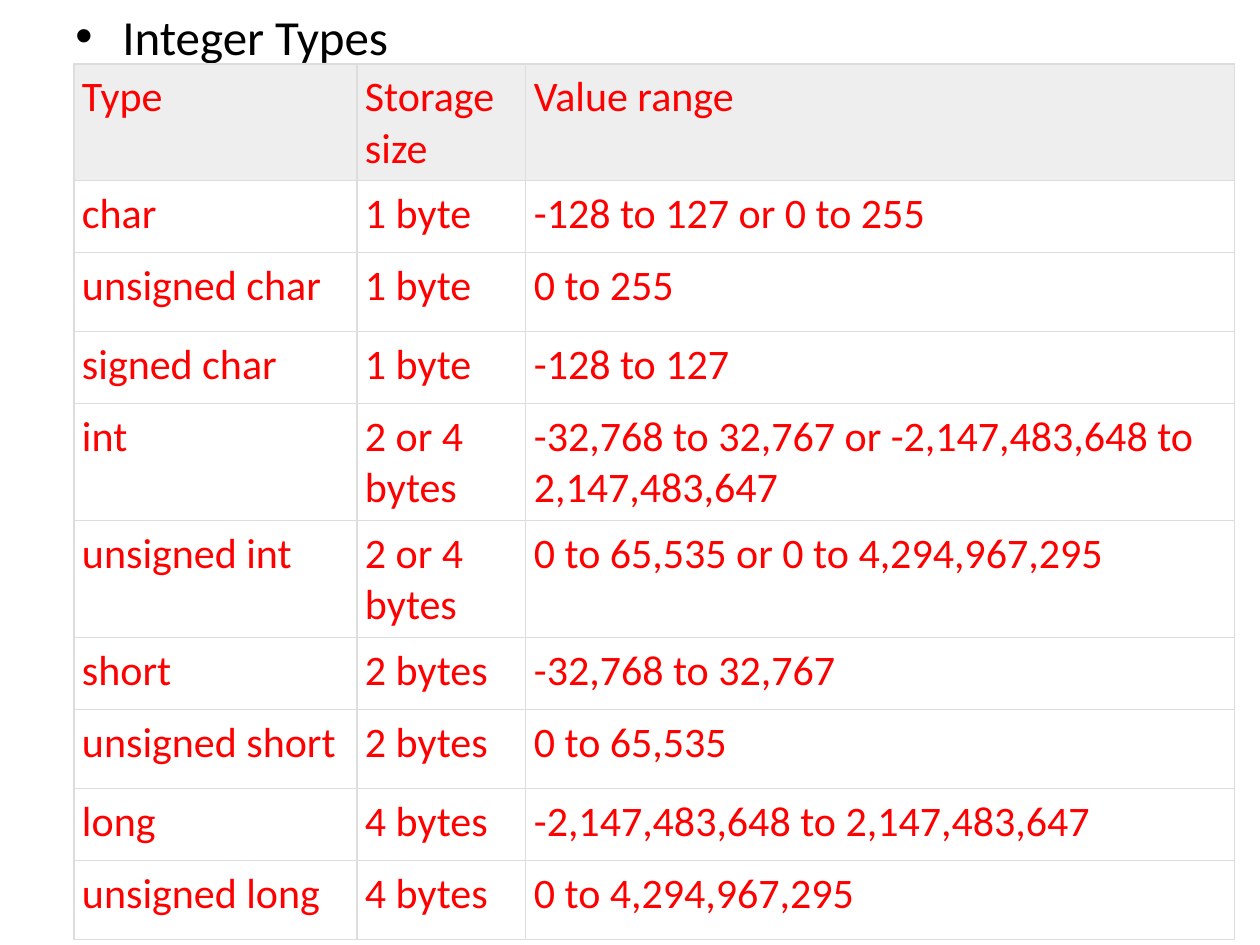
import lxml.etree
import pptx
import pptx.dml.color
import pptx.oxml
import pptx.oxml.ns
import pptx.util

PX = 914400 // 126
COLORS = {"title": "000000", "text": "FF0000", "header": "EEEEEE", "border": "DDDDDD"}
FONT = "Calibri"
COLUMNS = [283, 169, 709]
TALL, SHORT = 79, 72
HEIGHTS = [TALL, SHORT, TALL, SHORT, TALL, TALL, SHORT, TALL, SHORT, TALL]
ROWS = [
    ("Type", "Storage size", "Value range"),
    ("char", "1 byte", "-128 to 127 or 0 to 255"),
    ("unsigned char", "1 byte", "0 to 255"),
    ("signed char", "1 byte", "-128 to 127"),
    ("int", "2 or 4 bytes", "-32,768 to 32,767 or -2,147,483,648 to 2,147,483,647"),
    ("unsigned int", "2 or 4 bytes", "0 to 65,535 or 0 to 4,294,967,295"),
    ("short", "2 bytes", "-32,768 to 32,767"),
    ("unsigned short", "2 bytes", "0 to 65,535"),
    ("long", "4 bytes", "-2,147,483,648 to 2,147,483,647"),
    ("unsigned long", "4 bytes", "0 to 4,294,967,295"),
]


def rgb(name):
    """Return the named colour."""
    return pptx.dml.color.RGBColor.from_string(COLORS[name])


def add_xml(parent, xml):
    """Append a DrawingML element to the parent."""
    ns = pptx.oxml.ns.nsdecls("a")
    tag, rest = xml[1:].split(" ", 1)
    parent.append(pptx.oxml.parse_xml(f"<{tag} {ns} {rest}"))


def format_text(tf, size, color):
    """Set font, size and colour on every run."""
    for p in tf.paragraphs:
        for r in p.runs:
            r.font.name = FONT
            r.font.size = pptx.util.Pt(size)
            r.font.color.rgb = rgb(color)


def add_heading(s, x, y, w, h, text):
    """Place the bulleted heading in its box."""
    sp = s.shapes.add_textbox(x * PX, y * PX, w * PX, h * PX)
    tf = sp.text_frame
    tf.word_wrap = True
    tf.text = text
    format_text(tf, 28, "title")
    pPr = tf.paragraphs[0]._p.get_or_add_pPr()
    indent = 47 * PX
    pPr.set("marL", str(indent))
    pPr.set("indent", str(-indent))
    add_xml(pPr, '<a:spcBef ><a:spcPct val="20000"/></a:spcBef>')
    add_xml(pPr, '<a:buFont typeface="Arial"/>')
    add_xml(pPr, '<a:buChar char="•"/>')


def format_cell(cell, text, header):
    """Fill one cell with text, margins, borders and background."""
    cell.text = text
    format_text(cell.text_frame, 24, "text")
    cell.margin_left = cell.margin_right = 8 * PX
    cell.margin_top = cell.margin_bottom = 8 * PX
    tcPr = cell._tc.get_or_add_tcPr()
    for side in ("lnL", "lnR", "lnT", "lnB"):
        add_xml(tcPr, f'<a:{side} w="9525"><a:solidFill><a:srgbClr val="{COLORS["border"]}"/>'
                      f'</a:solidFill></a:{side}>')
    if header:
        cell.fill.solid()
        cell.fill.fore_color.rgb = rgb("header")
    else:
        cell.fill.background()


def add_type_table(s, x, y, w, h):
    """Place the table of integer types in its box."""
    shape = s.shapes.add_table(len(ROWS), len(COLUMNS), x * PX, y * PX, w * PX, h * PX)
    table = shape.table
    table.first_row = table.horz_banding = False
    for column, width in zip(table.columns, COLUMNS):
        column.width = width * PX
    for i, (row, height) in enumerate(zip(ROWS, HEIGHTS)):
        table.rows[i].height = height * PX
        for j, text in enumerate(row):
            format_cell(table.cell(i, j), text, i == 0)


def main():
    """Build and save the slide."""
    prs = pptx.Presentation()
    prs.slide_width, prs.slide_height = 1260 * PX, 945 * PX
    s = prs.slides.add_slide(prs.slide_layouts[6])
    add_heading(s, 63, 0, 1134, 844, "Integer Types")
    add_type_table(s, 74, 64, sum(COLUMNS), sum(HEIGHTS))
    prs.save("out.pptx")


if __name__ == "__main__":
    main()
